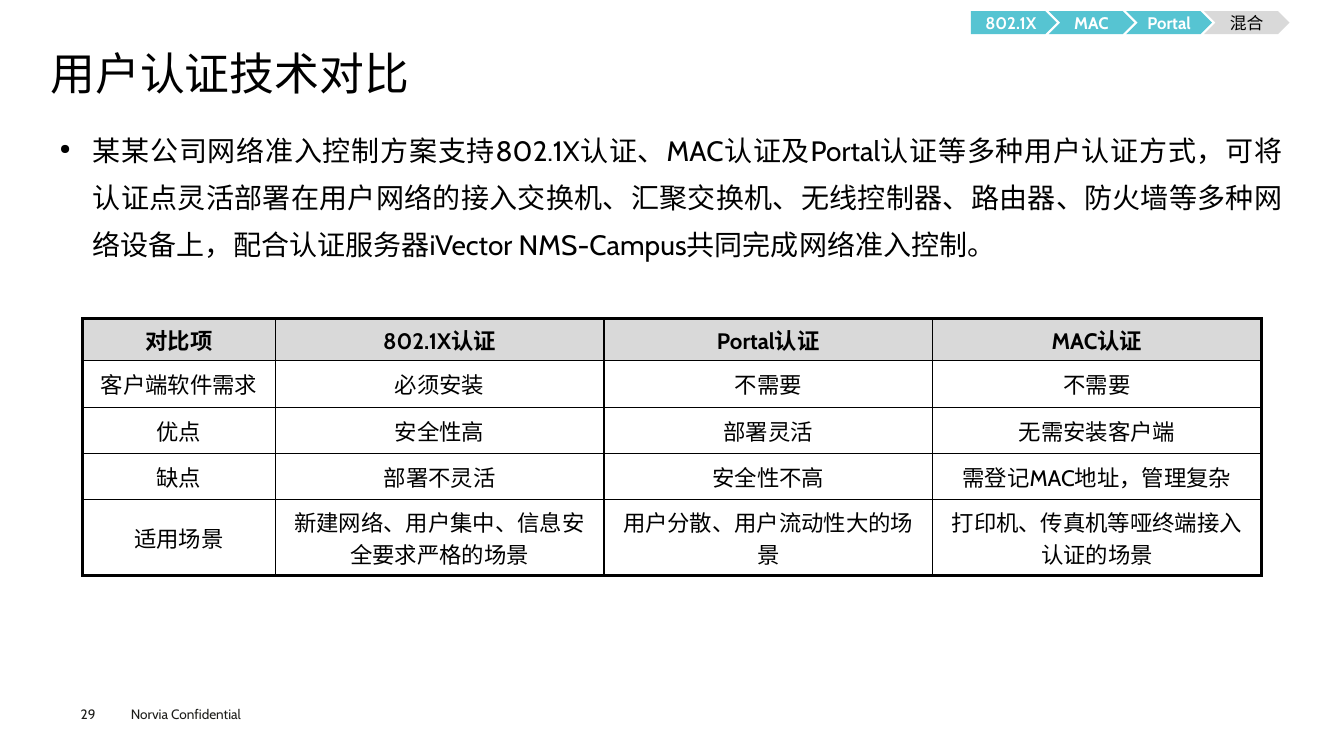
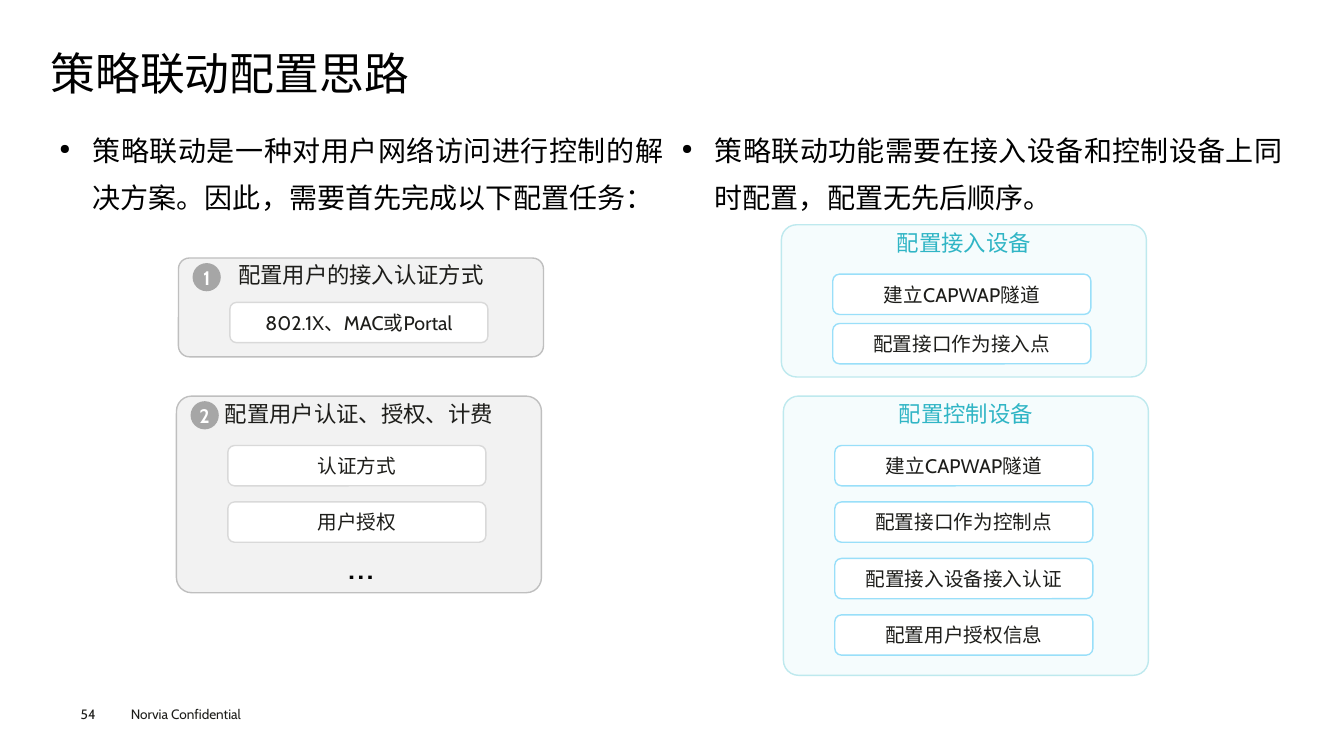
from lxml.etree import SubElement
from pptx import Presentation
from pptx.dml.color import RGBColor
from pptx.enum.shapes import MSO_SHAPE
from pptx.enum.text import MSO_ANCHOR, PP_ALIGN
from pptx.oxml.ns import qn
from pptx.util import Pt

PX = 9144
FONT = "Cabin"
BLACK = RGBColor(0x00, 0x00, 0x00)
WHITE = RGBColor(0xFF, 0xFF, 0xFF)
INK = RGBColor(0x1D, 0x1D, 0x1A)
TEAL = RGBColor(0x56, 0xC4, 0xD2)
DEEP = RGBColor(0x30, 0xB5, 0xC5)
AQUA = RGBColor(0xBE, 0xE9, 0xEE)
PALE = RGBColor(0xF5, 0xFC, 0xFD)
SKY = RGBColor(0x99, 0xDF, 0xF9)
SMOKE = RGBColor(0xF2, 0xF2, 0xF2)
SILVER = RGBColor(0xD9, 0xD9, 0xD9)
STONE = RGBColor(0xBF, 0xBF, 0xBF)
GRAY = RGBColor(0xA6, 0xA6, 0xA6)

GRAY_SET = {"fill": SMOKE, "edge": STONE, "rim": SILVER, "color": INK}
TEAL_SET = {"fill": PALE, "edge": AQUA, "rim": SKY, "color": DEEP}

STEPS = ["802.1X", "MAC", "Portal", "混合"]
ROWS = [
    ["对比项", "802.1X认证", "Portal认证", "MAC认证"],
    ["客户端软件需求", "必须安装", "不需要", "不需要"],
    ["优点", "安全性高", "部署灵活", "无需安装客户端"],
    ["缺点", "部署不灵活", "安全性不高", "需登记MAC地址，管理复杂"],
    ["适用场景", "新建网络、用户集中、信息安全要求严格的场景",
     "用户分散、用户流动性大的场景", "打印机、传真机等哑终端接入认证的场景"],
]
WIDTHS = [191, 326, 326, 326]
HEIGHTS = [42, 46, 46, 46, 75]


def scale(*sizes):
    return [size * PX for size in sizes]


def write(frame, text, size=14, color=INK, bold=False, align=PP_ALIGN.CENTER,
          anchor=MSO_ANCHOR.MIDDLE, inset=(0, 0), wrap=True, space=None,
          bullet=False, asian=FONT):
    frame.word_wrap = wrap
    frame.vertical_anchor = anchor
    frame.margin_left = frame.margin_right = inset[0] * PX
    frame.margin_top = frame.margin_bottom = inset[1] * PX
    para = frame.paragraphs[0]
    if bullet:
        props = para._p.get_or_add_pPr()
        props.set("marL", str(33 * PX))
        props.set("indent", str(-33 * PX))
        SubElement(props, qn("a:buSzPct"), val="50000")
        SubElement(props, qn("a:buChar"), char="●")
    para.alignment = align
    if space:
        para.line_spacing = space
    run = para.add_run()
    run.text = text
    font = run.font
    font.name = FONT
    font.size = Pt(size)
    font.bold = bold
    font.color.rgb = color
    if asian:
        SubElement(run._r.get_or_add_rPr(), qn("a:ea"), typeface=asian)


def label(slide, text, box, **style):
    frame = slide.shapes.add_textbox(*scale(*box)).text_frame
    write(frame, text, **style)


def shape(slide, kind, text, box, fill, edge=None, adjust=None, **style):
    item = slide.shapes.add_shape(kind, *scale(*box))
    item.shadow.inherit = False
    item.fill.solid()
    item.fill.fore_color.rgb = fill
    if edge:
        item.line.color.rgb = edge
        item.line.width = Pt(1)
    else:
        item.line.fill.background()
    if adjust is not None:
        item.adjustments[0] = adjust
    write(item.text_frame, text, **style)


def start(deck, title, number):
    slide = deck.slides.add_slide(deck.slide_layouts[5])
    head = slide.shapes.title
    head.left, head.top, head.width, head.height = scale(50, 49, 1231, 53)
    write(head.text_frame, title, size=32, color=BLACK, align=PP_ALIGN.LEFT,
          space=0.9)
    foot = {"size": 9.7, "align": PP_ALIGN.LEFT, "anchor": MSO_ANCHOR.TOP}
    label(slide, "Norvia Confidential", (120, 695, 160, 27), inset=(10, 5), **foot)
    label(slide, number, (80, 700, 55, 16), **foot)
    return slide


def body(slide, text, box):
    label(slide, text, box, size=20, color=BLACK, align=PP_ALIGN.JUSTIFY,
          anchor=MSO_ANCHOR.TOP, inset=(9, 4), space=1.4, bullet=True)


def trail(slide):
    for i, text in enumerate(STEPS):
        kind = MSO_SHAPE.CHEVRON if i else MSO_SHAPE.PENTAGON
        live = i < len(STEPS) - 1
        shape(slide, kind, text, (963 + 77 * i, 11, 85, 23),
              TEAL if live else SILVER, size=12,
              color=WHITE if live else BLACK, bold=live)


def border(cell, outer):
    props = cell._tc.get_or_add_tcPr()
    for side in "LRTB":
        width = Pt(2.25 if side in outer else 1)
        line = SubElement(props, qn("a:ln" + side), w=str(width))
        fill = SubElement(line, qn("a:solidFill"))
        SubElement(fill, qn("a:srgbClr"), val=str(BLACK))


def grid(slide):
    box = scale(82, 316, sum(WIDTHS), sum(HEIGHTS))
    table = slide.shapes.add_table(len(ROWS), len(WIDTHS), *box).table
    table.first_row = table.horz_banding = False
    for col, width in zip(table.columns, WIDTHS):
        col.width = width * PX
    for row, height in zip(table.rows, HEIGHTS):
        row.height = height * PX
    last_row, last_col = len(ROWS) - 1, len(WIDTHS) - 1
    for r, texts in enumerate(ROWS):
        for c, text in enumerate(texts):
            cell = table.cell(r, c)
            tests = {"L": c == 0, "R": c == last_col, "T": r == 0, "B": r == last_row}
            border(cell, [side for side, edge in tests.items() if edge])
            if r == 0:
                cell.fill.solid()
                cell.fill.fore_color.rgb = SILVER
            else:
                cell.fill.background()
            cell.vertical_anchor = MSO_ANCHOR.MIDDLE
            cell.margin_left = cell.margin_right = 10 * PX
            cell.margin_top = cell.margin_bottom = 5 * PX
            write(cell.text_frame, text, size=16, color=BLACK, bold=r == 0,
                  anchor=None, wrap=None, asian=None)


def panel(slide, title, tasks, left, top, height, look, drop=49, step=56, badge=None):
    shape(slide, MSO_SHAPE.ROUNDED_RECTANGLE, title, (left, top, 362, height),
          look["fill"], edge=look["edge"], adjust=min(0.11, 15 / height),
          size=16, color=look["color"], anchor=MSO_ANCHOR.TOP)
    for i, task in enumerate(tasks):
        shape(slide, MSO_SHAPE.ROUNDED_RECTANGLE, task,
              (left + 51, top + drop + step * i, 256, 40),
              WHITE, edge=look["rim"])
    if badge:
        shape(slide, MSO_SHAPE.OVAL, badge, (left + 14, top + 5, 28, 28), GRAY,
              color=WHITE, bold=True, wrap=False)


def compare(deck):
    slide = start(deck, "用户认证技术对比", "29")
    body(slide, "某某公司网络准入控制方案支持802.1X认证、MAC认证及Portal认证等多种用户认证方式，"
         "可将认证点灵活部署在用户网络的接入交换机、汇聚交换机、无线控制器、路由器、"
         "防火墙等多种网络设备上，配合认证服务器iVector NMS-Campus共同完成网络准入控制。",
         (50, 115, 1231, 171))
    grid(slide)
    trail(slide)


def policy(deck):
    slide = start(deck, "策略联动配置思路", "54")
    body(slide, "策略联动是一种对用户网络访问进行控制的解决方案。因此，需要首先完成以下配置任务：",
         (50, 115, 617, 108))
    body(slide, "策略联动功能需要在接入设备和控制设备上同时配置，配置无先后顺序。",
         (667, 115, 614, 103))
    panel(slide, "配置用户的接入认证方式", ["802.1X、MAC或Portal"],
          177, 256, 98, GRAY_SET, drop=44, badge="1")
    panel(slide, "配置用户认证、授权、计费", ["认证方式", "用户授权"],
          175, 393, 195, GRAY_SET, badge="2")
    label(slide, "…", (335, 531, 47, 57), size=28, color=BLACK,
          align=PP_ALIGN.LEFT, anchor=MSO_ANCHOR.TOP, inset=(10, 5), wrap=False)
    panel(slide, "配置接入设备", ["建立CAPWAP隧道", "配置接口作为接入点"],
          775, 223, 151, TEAL_SET, step=49)
    panel(slide, "配置控制设备",
          ["建立CAPWAP隧道", "配置接口作为控制点", "配置接入设备接入认证", "配置用户授权信息"],
          777, 393, 277, TEAL_SET)


def main():
    deck = Presentation()
    deck.slide_width, deck.slide_height = scale(1333, 750)
    compare(deck)
    policy(deck)
    deck.save("out.pptx")


if __name__ == "__main__":
    main()
